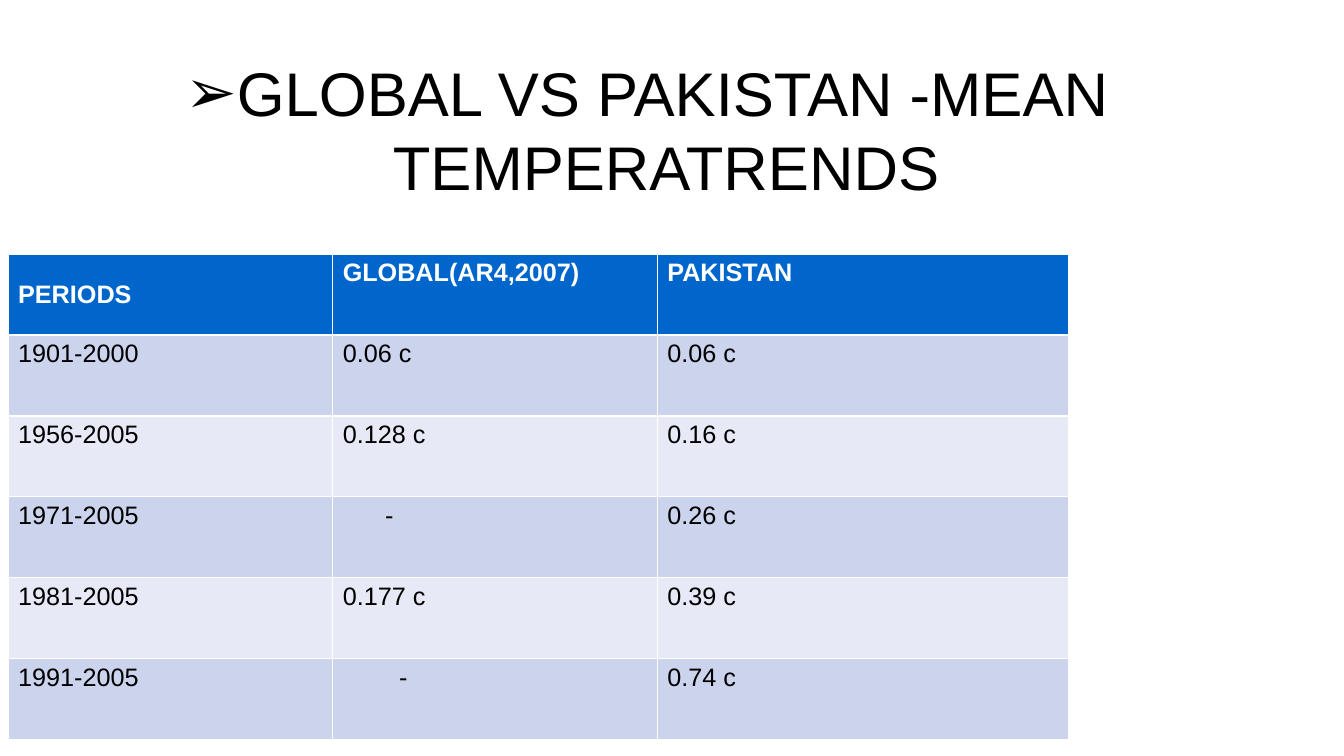
from lxml import etree
from pptx import Presentation
from pptx.dml.color import RGBColor
from pptx.enum.text import MSO_ANCHOR, PP_ALIGN
from pptx.oxml.ns import qn
from pptx.util import Inches, Pt

CENTER = PP_ALIGN.CENTER
MIDDLE = MSO_ANCHOR.MIDDLE
BLACK = RGBColor(0x00, 0x00, 0x00)
WHITE = RGBColor(0xFF, 0xFF, 0xFF)
HEADER_BLUE = RGBColor(0x00, 0x66, 0xCC)
BANDS = [RGBColor(0xE7, 0xEA, 0xF6), RGBColor(0xCC, 0xD3, 0xEC)]
FONT = "Arial"

TRENDS = [
    ("PERIODS", "GLOBAL(AR4,2007)", "PAKISTAN"),
    ("1901-2000", "0.06 c", "0.06 c"),
    ("1956-2005", "0.128 c", "0.16 c"),
    ("1971-2005", "-", "0.26 c"),
    ("1981-2005", "0.177 c", "0.39 c"),
    ("1991-2005", "-", "0.74 c"),
]
COLUMN_WIDTHS = [3.22, 3.22, 4.08]
DASH_MARGINS = {3: 0.52, 5: 0.66}


def style_text(paragraph, size, color, bold=False):
    font = paragraph.runs[0].font
    font.name = FONT
    font.size = Pt(size)
    font.bold = bold
    font.color.rgb = color


prs = Presentation()
prs.slide_width = Inches(13.33)
prs.slide_height = Inches(7.5)
slide = prs.slides.add_slide(prs.slide_layouts[6])

heading_frame = slide.shapes.add_textbox(
    Inches(0.42), Inches(0.5), Inches(12), Inches(5.42)).text_frame
heading_frame.word_wrap = True
heading = heading_frame.paragraphs[0]
heading.text = "GLOBAL VS PAKISTAN -MEAN TEMPERATRENDS"
heading.alignment = CENTER
style_text(heading, 44, BLACK)
heading_format = heading._p.get_or_add_pPr()
heading_format.set("marL", str(Inches(0.38)))
heading_format.set("indent", str(Inches(-0.38)))
space_before = etree.SubElement(heading_format, qn("a:spcBef"))
etree.SubElement(space_before, qn("a:spcPct")).set("val", "20000")
etree.SubElement(heading_format, qn("a:buFont")).set("typeface", FONT)
etree.SubElement(heading_format, qn("a:buChar")).set("char", "➢")

trend_table = slide.shapes.add_table(
    len(TRENDS), len(COLUMN_WIDTHS),
    Inches(0.08), Inches(2.52), Inches(10.52), Inches(4.82)).table
for column, width in zip(trend_table.columns, COLUMN_WIDTHS):
    column.width = Inches(width)

for row, values in enumerate(TRENDS):
    is_header = row == 0
    for col, value in enumerate(values):
        cell = trend_table.cell(row, col)
        cell.text_frame.text = value
        cell.fill.solid()
        cell.fill.fore_color.rgb = HEADER_BLUE if is_header else BANDS[row % 2]
        style_text(cell.text_frame.paragraphs[0], 18,
                   WHITE if is_header else BLACK, is_header)
        if value == "-":
            cell.margin_left = Inches(DASH_MARGINS[row])
trend_table.cell(0, 0).vertical_anchor = MIDDLE

prs.save("out.pptx")
